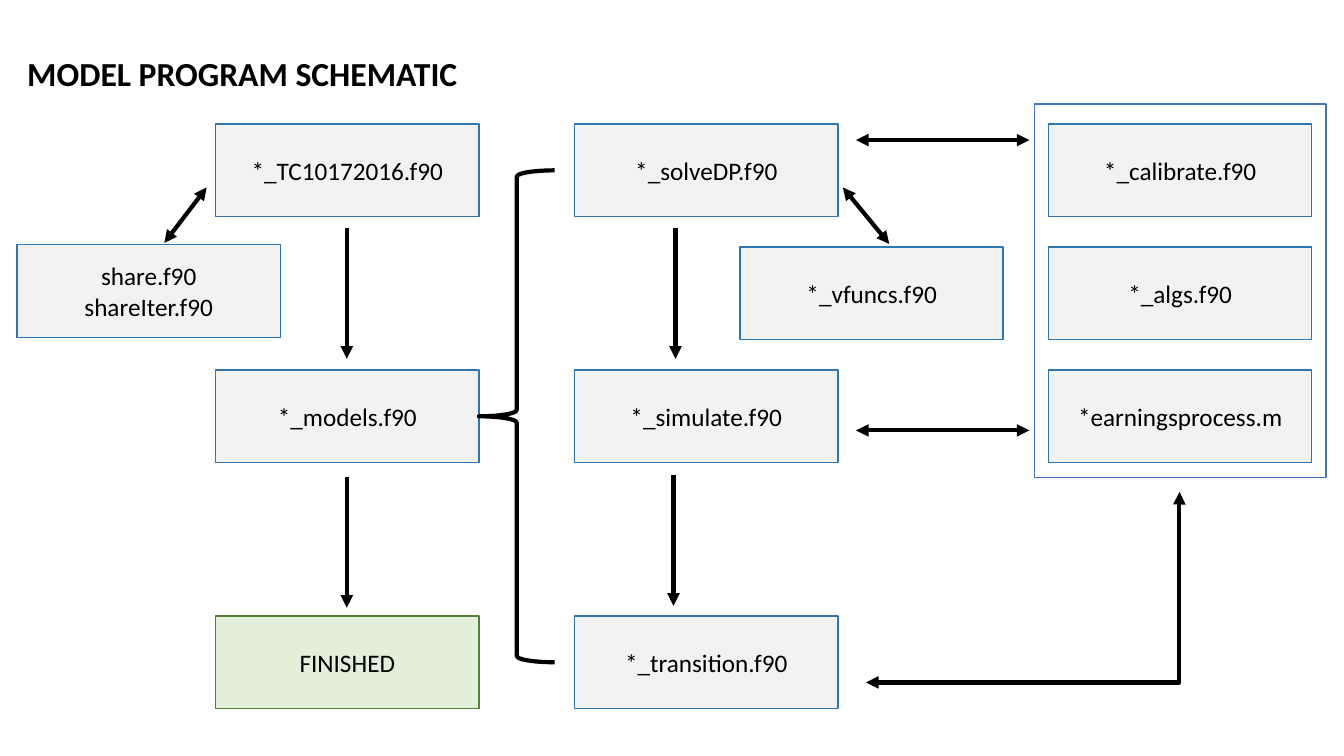
from dataclasses import dataclass

from pptx import Presentation
from pptx.dml.color import RGBColor
from pptx.enum.shapes import MSO_CONNECTOR, MSO_SHAPE
from pptx.enum.text import MSO_ANCHOR, MSO_AUTO_SIZE, PP_ALIGN
from pptx.oxml.ns import qn
from pptx.util import Inches, Pt
from lxml.etree import SubElement


@dataclass(frozen=True)
class Theme:
    """Colours, type sizes and line widths of the slide."""
    font: str = "Calibri"
    ink: str = "000000"
    file_fill: str = "F2F2F2"
    file_edge: str = "2E75B6"
    done_fill: str = "E2F0D9"
    done_edge: str = "548235"
    group_edge: str = "4472C4"
    title_size: int = 24
    body_size: int = 18
    thin: int = 1
    thick: int = 3


THEME = Theme()

# Content: column name, row on the grid, lines of text
TITLE = "MODEL PROGRAM SCHEMATIC"
FILES = [
    ("driver", 0, ["*_TC10172016.f90"]),
    ("driver", 2, ["*_models.f90"]),
    ("solver", 0, ["*_solveDP.f90"]),
    ("solver", 2, ["*_simulate.f90"]),
    ("solver", 4, ["*_transition.f90"]),
    ("values", 1, ["*_vfuncs.f90"]),
    ("shared", 0.98, ["share.f90", "shareIter.f90"]),
    ("inputs", 0, ["*_calibrate.f90"]),
    ("inputs", 1, ["*_algs.f90"]),
    ("inputs", 2, ["*earningsprocess.m"]),
]
FINISH = ("driver", 4, ["FINISHED"])

# Grid, in inches
COLUMNS = {"shared": 0.17, "driver": 2.14, "solver": 5.7, "values": 7.34, "inputs": 10.4}
TOP, PITCH = 1.23, 1.22
BOX_W, BOX_H = 2.61, 0.92
STEP_LENGTH = 1.3
GROUP_PAD_X, GROUP_PAD_Y = 0.14, 0.2

# Downward steps: x, start y
STEPS = [(3.44, 2.26), (3.44, 4.73), (6.7, 2.26), (6.68, 4.71)]
# Two-way links: start x, y, end x, y
LINKS = [
    (8.36, 1.86, 8.82, 2.42),
    (2.05, 1.86, 1.63, 2.41),
    (8.49, 1.39, 10.21, 1.39),
    (8.49, 4.27, 10.21, 4.27),
]
CORNER_LINK = (11.7, 4.88, 8.59, 6.77)


def row_top(row):
    """Return the top of a grid row."""
    return TOP + row * PITCH


def write(frame, lines, size, align, bold=False):
    """Fill a text frame, one paragraph per line."""
    for index, line in enumerate(lines):
        paragraph = frame.paragraphs[0] if index == 0 else frame.add_paragraph()
        paragraph.alignment = align
        run = paragraph.add_run()
        run.text = line
        run.font.name = THEME.font
        run.font.size = Pt(size)
        run.font.bold = bold
        run.font.color.rgb = RGBColor.from_string(THEME.ink)


def add_outline(slide, preset, bounds, edge, width, fill=None):
    """Add a preset shape with a line and an optional fill."""
    outline = slide.shapes.add_shape(preset, *map(Inches, bounds))
    outline.shadow.inherit = False
    outline.line.color.rgb = RGBColor.from_string(edge)
    outline.line.width = Pt(width)
    if fill:
        outline.fill.solid()
        outline.fill.fore_color.rgb = RGBColor.from_string(fill)
    else:
        outline.fill.background()
    return outline


def add_box(slide, column, row, lines, fill=THEME.file_fill, edge=THEME.file_edge):
    """Add a labelled box at a grid position."""
    bounds = (COLUMNS[column], row_top(row), BOX_W, BOX_H)
    box = add_outline(slide, MSO_SHAPE.RECTANGLE, bounds, edge, THEME.thin, fill)
    box.text_frame.word_wrap = True
    box.text_frame.vertical_anchor = MSO_ANCHOR.MIDDLE
    write(box.text_frame, lines, THEME.body_size, PP_ALIGN.CENTER)


def add_arrow(slide, ends, two_way=False, kind=MSO_CONNECTOR.STRAIGHT):
    """Add an arrow with a head at its end, or at both ends."""
    arrow = slide.shapes.add_connector(kind, *map(Inches, ends))
    arrow.line.color.rgb = RGBColor.from_string(THEME.ink)
    arrow.line.width = Pt(THEME.thick)
    properties = arrow.line._get_or_add_ln()
    for tag in ["a:headEnd", "a:tailEnd"] if two_way else ["a:tailEnd"]:
        SubElement(properties, qn(tag), type="triangle")
    SubElement(arrow._element.spPr, qn("a:effectLst"))
    return arrow


def add_corner_arrow(slide, ends):
    """Add a two-way elbow that turns once, directly below its start."""
    corner = add_arrow(slide, ends, two_way=True, kind=MSO_CONNECTOR.ELBOW)
    adjustments = corner._element.spPr.find(qn("a:prstGeom")).get_or_add_avLst()
    SubElement(adjustments, qn("a:gd"), name="adj1", fmla="val 100")


def add_title(slide):
    """Place and format the title."""
    title = slide.shapes.title
    title.left, title.top, title.width, title.height = map(Inches, (0.17, 0.47, 5.08, 0.5))
    frame = title.text_frame
    frame.word_wrap = True
    frame.auto_size = MSO_AUTO_SIZE.SHAPE_TO_FIT_TEXT
    frame.vertical_anchor = MSO_ANCHOR.TOP
    write(frame, [TITLE], THEME.title_size, PP_ALIGN.LEFT, bold=True)


def build():
    """Build and save the schematic."""
    deck = Presentation()
    deck.slide_width, deck.slide_height = Inches(13.33), Inches(7.5)
    slide = deck.slides.add_slide(deck.slide_layouts[5])
    add_title(slide)
    for column, row, lines in FILES:
        add_box(slide, column, row, lines)
    add_box(slide, *FINISH, fill=THEME.done_fill, edge=THEME.done_edge)

    first_middle = row_top(0) + BOX_H / 2
    brace = (COLUMNS["driver"] + BOX_W, first_middle, 0.75, 4 * PITCH)
    add_outline(slide, MSO_SHAPE.LEFT_BRACE, brace, THEME.ink, THEME.thick)

    group = (COLUMNS["inputs"] - GROUP_PAD_X, TOP - GROUP_PAD_Y,
             BOX_W + 2 * GROUP_PAD_X, 2 * PITCH + BOX_H + 1.75 * GROUP_PAD_Y)
    add_outline(slide, MSO_SHAPE.RECTANGLE, group, THEME.group_edge, THEME.thin)

    for x, y in STEPS:
        add_arrow(slide, (x, y, x, y + STEP_LENGTH))
    for ends in LINKS:
        add_arrow(slide, ends, two_way=True)
    add_corner_arrow(slide, CORNER_LINK)
    deck.save("out.pptx")


build()
